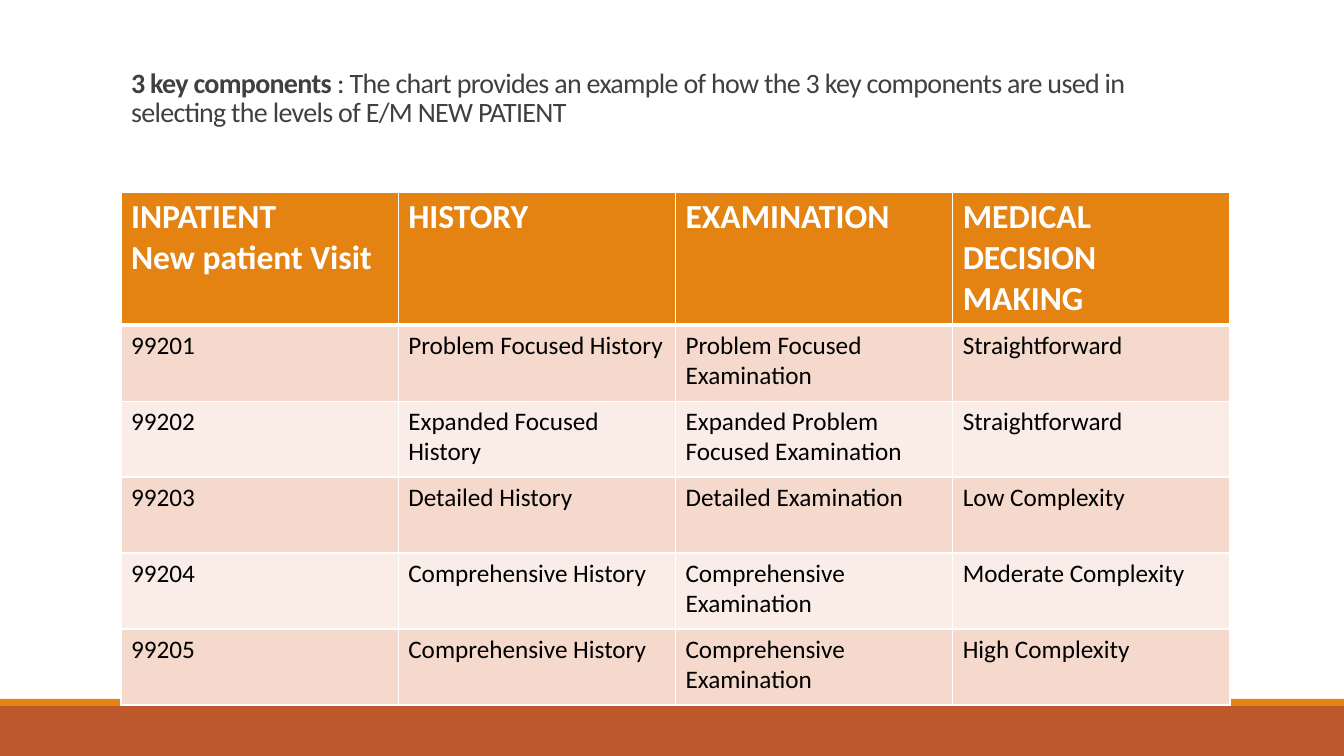
"""Build a slide with the new patient E/M levels table."""
from lxml import etree
from pptx import Presentation
from pptx import util as u
from pptx.dml.color import RGBColor
from pptx.enum import shapes, text
from pptx.oxml.ns import qn

TITLE = (
    ("3 key components", True),
    (" : The chart provides an example of how the 3 key components are used in "
     "selecting the levels of E/M NEW PATIENT", False),
)
HEADER = ("INPATIENT\nNew patient Visit", "HISTORY", "EXAMINATION", "MEDICAL DECISION MAKING")
LEVELS = (
    ("99201", "Problem Focused History", "Problem Focused Examination", "Straightforward"),
    ("99202", "Expanded Focused History", "Expanded Problem Focused Examination", "Straightforward"),
    ("99203", "Detailed History", "Detailed Examination", "Low Complexity"),
    ("99204", "Comprehensive History", "Comprehensive Examination", "Moderate Complexity"),
    ("99205", "Comprehensive History", "Comprehensive Examination", "High Complexity"),
)
THEME = {
    "font": "Calibri", "title_size": 20, "header_size": 24, "body_size": 18,
    "title": "404040", "header_text": "FFFFFF", "body_text": "000000",
    "header_fill": "E48312", "bands": ("F5D9CC", "FAEDE7"), "border": "FFFFFF",
    "footer": "BD582C", "footer_edge": "E48312", "rule": "808080",
}
WIDTH, HEIGHT = 1344, 756
FOOTER_TOP, FOOTER_EDGE = 706, 7
TABLE_LEFT, TABLE_TOP, TABLE_WIDTH = 121, 192, 1109
HEADER_HEIGHT, ROW_HEIGHT = 132, 76
RULE_LEFT, RULE_RIGHT = 132, 1231
TITLE_BOX = (TABLE_LEFT, 31, TABLE_WIDTH, 102)


def px(pixels):
    return u.Emu(round(pixels * u.Inches(1) / 100.8))


def color(name):
    return RGBColor.from_string(name)


def style(font, size, hue, bold=None):
    font.name, font.size, font.bold = THEME["font"], u.Pt(size), bold
    font.color.rgb = color(hue)


def add_bar(slide, top, height, hue):
    bar = slide.shapes.add_shape(
        shapes.MSO_SHAPE.RECTANGLE, 0, px(top), px(WIDTH), px(height))
    bar.shadow.inherit = False
    bar.fill.solid()
    bar.fill.fore_color.rgb = color(hue)
    bar.line.fill.background()


def add_rule(slide):
    rule = slide.shapes.add_connector(
        shapes.MSO_CONNECTOR.STRAIGHT, px(RULE_LEFT), px(TABLE_TOP), px(RULE_RIGHT), px(TABLE_TOP))
    rule.line.color.rgb = color(THEME["rule"])
    rule.line.width = u.Pt(0.5)
    etree.SubElement(rule._element.spPr, qn("a:effectLst"))


def fill_title(title):
    title.left, title.top, title.width, title.height = map(px, TITLE_BOX)
    frame = title.text_frame
    frame.word_wrap, frame.auto_size = True, text.MSO_AUTO_SIZE.NONE
    frame.vertical_anchor = text.MSO_ANCHOR.BOTTOM
    paragraph = frame.paragraphs[0]
    paragraph.alignment, paragraph.line_spacing = text.PP_ALIGN.LEFT, 0.85
    for words, bold in TITLE:
        run = paragraph.add_run()
        run.text = words
        style(run.font, THEME["title_size"], THEME["title"], bold)
        run.font._element.set("spc", "-50")


def set_borders(cell, top, bottom):
    properties = cell._tc.get_or_add_tcPr()
    for index, (side, points) in enumerate((("L", 1), ("R", 1), ("T", top), ("B", bottom))):
        line = etree.Element(qn(f"a:ln{side}"), w=str(u.Pt(points)))
        solid = etree.SubElement(line, qn("a:solidFill"))
        etree.SubElement(solid, qn("a:srgbClr"), val=THEME["border"])
        properties.insert(index, line)


def add_levels_table(slide):
    rows = (HEADER, *LEVELS)
    heights = [HEADER_HEIGHT] + [ROW_HEIGHT] * len(LEVELS)
    table = slide.shapes.add_table(
        len(rows), len(HEADER), px(TABLE_LEFT), px(TABLE_TOP), px(TABLE_WIDTH), px(sum(heights))).table
    for column in table.columns:
        column.width = px(TABLE_WIDTH / len(HEADER))
    for index, (row, height) in enumerate(zip(rows, heights)):
        table.rows[index].height = px(height)
        header = index == 0
        kind = "header" if header else "body"
        fill = THEME["header_fill"] if header else THEME["bands"][(index - 1) % 2]
        for cell, words in zip(table.rows[index].cells, row):
            cell.text = words
            cell.fill.solid()
            cell.fill.fore_color.rgb = color(fill)
            set_borders(cell, 3 if index == 1 else 1, 3 if header else 1)
            for paragraph in cell.text_frame.paragraphs:
                style(paragraph.font, THEME[f"{kind}_size"], THEME[f"{kind}_text"], header)


presentation = Presentation()
presentation.slide_width, presentation.slide_height = px(WIDTH), px(HEIGHT)
slide = presentation.slides.add_slide(presentation.slide_layouts[5])
add_bar(slide, FOOTER_TOP, HEIGHT - FOOTER_TOP, THEME["footer"])
add_bar(slide, FOOTER_TOP - FOOTER_EDGE, FOOTER_EDGE, THEME["footer_edge"])
add_rule(slide)
fill_title(slide.shapes.title)
add_levels_table(slide)
presentation.save("out.pptx")
